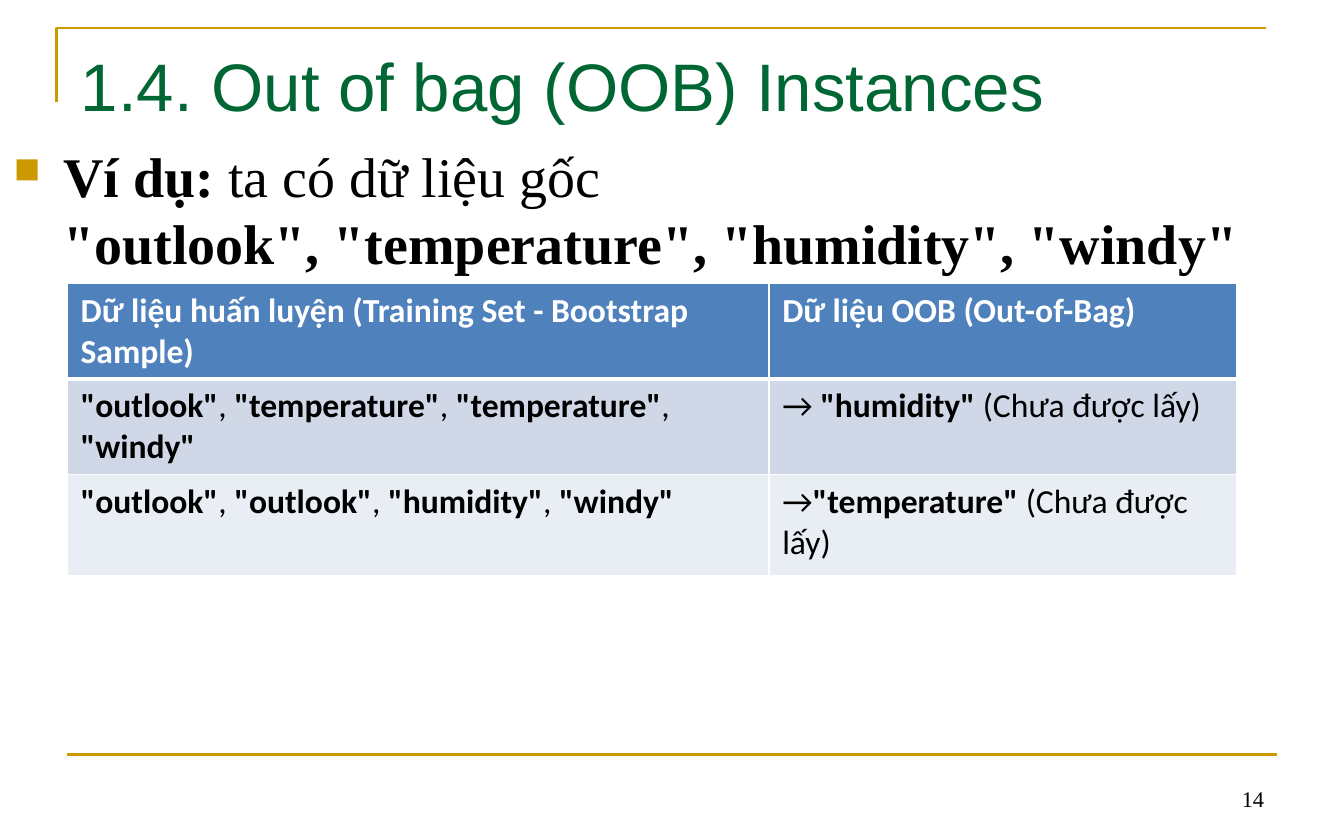
from lxml import etree
from pptx import Presentation
from pptx import util as u
from pptx.dml.color import RGBColor
from pptx.enum import shapes, text
from pptx.oxml import ns

COLORS = {
    "gold": "CC9900", "green": "006633", "black": "000000", "white": "FFFFFF",
    "header": "4F81BD", "band_dark": "D0D8E8", "band_light": "E9EDF4",
}
TABLE_ROWS = [
    ("**Dữ liệu huấn luyện (Training Set - Bootstrap Sample)**",
     "**Dữ liệu OOB (Out-of-Bag)**"),
    ('**"outlook"**, **"temperature"**, **"temperature"**, **"windy"**',
     '→ **"humidity"** (Chưa được lấy)'),
    ('**"outlook"**, **"outlook"**, **"humidity"**, **"windy"**',
     '→**"temperature"** (Chưa được lấy)'),
]


def rgb(name):
    """Return the named palette colour."""
    return RGBColor.from_string(COLORS[name])


def write(frame, content, size, font, color="black", spacing=None):
    """Write one paragraph, with **bold** parts and line breaks."""
    frame.word_wrap = True
    paragraph = frame.paragraphs[0]
    paragraph.alignment = text.PP_ALIGN.LEFT
    if spacing:
        paragraph.line_spacing = u.Pt(spacing)
    for index, part in enumerate(content.split("**")):
        for line_number, line in enumerate(part.split("\n")):
            if line_number:
                paragraph.add_line_break()
            if line:
                run = paragraph.add_run()
                run.text = line
                run.font.size = u.Pt(size)
                run.font.name = font
                run.font.bold = index % 2 == 1
                run.font.color.rgb = rgb(color)
    return paragraph


def set_margins(frame, left=0, top=0):
    """Set the left and top insets and clear the others."""
    frame.margin_left, frame.margin_top = u.Cm(left), u.Cm(top)
    frame.margin_right = frame.margin_bottom = 0
    frame.vertical_anchor = text.MSO_ANCHOR.TOP


def add_corner_frame(slide, left, top, width, height):
    """Draw the open corner above and beside the title."""
    builder = slide.shapes.build_freeform(u.Cm(left), u.Cm(top + height))
    builder.add_line_segments(
        [(u.Cm(left), u.Cm(top)), (u.Cm(left + width), u.Cm(top))], close=False)
    corner = builder.convert_to_shape()
    corner.shadow.inherit = False
    corner.fill.background()
    corner.line.color.rgb = rgb("gold")
    corner.line.width = u.Pt(1.5)


def add_title(slide, left, top, width, height):
    """Place and format the title placeholder."""
    title = slide.shapes.title
    title.left, title.top = u.Cm(left), u.Cm(top)
    title.width, title.height = u.Cm(width), u.Cm(height)
    set_margins(title.text_frame, left=0.03, top=0.03)
    write(title.text_frame, "1.4. Out of bag (OOB) Instances", 36, "Arial", "green")


def add_example(slide, left, top, width, height):
    """Add the bulleted example statement."""
    example = slide.shapes.add_textbox(
        u.Cm(left), u.Cm(top), u.Cm(width), u.Cm(height))
    set_margins(example.text_frame, top=0.28)
    paragraph = write(
        example.text_frame,
        '**Ví dụ: **ta có dữ liệu gốc\n'
        '**"outlook", "temperature", "humidity", "windy"**',
        30, "Times New Roman")
    properties = paragraph._p.get_or_add_pPr()
    properties.set("marL", str(u.Cm(1)))
    properties.set("indent", str(-u.Cm(0.94)))
    bullet_color = etree.SubElement(properties, ns.qn("a:buClr"))
    etree.SubElement(bullet_color, ns.qn("a:srgbClr"), val=COLORS["gold"])
    etree.SubElement(properties, ns.qn("a:buSzPct"), val="65000")
    etree.SubElement(properties, ns.qn("a:buChar"), char="■")


def set_borders(cell, **widths):
    """Give a cell white borders, 1 pt wide unless a side says otherwise."""
    properties = cell._tc.get_or_add_tcPr()
    for side in "LRTB":
        border = etree.SubElement(
            properties, ns.qn(f"a:ln{side}"), w=str(u.Pt(widths.get(side, 1))))
        fill = etree.SubElement(border, ns.qn("a:solidFill"))
        etree.SubElement(fill, ns.qn("a:srgbClr"), val=COLORS["white"])


def add_samples_table(slide, left, top, width, height):
    """Add the table of bootstrap samples and their OOB data."""
    table = slide.shapes.add_table(
        len(TABLE_ROWS), 2, u.Cm(left), u.Cm(top), u.Cm(width), u.Cm(height)).table
    for column, share in zip(table.columns, (0.6, 0.4)):
        column.width = u.Cm(width * share)
    for row, share in zip(table.rows, (0.325, 0.325, 0.35)):
        row.height = u.Cm(height * share)
    fills = ("header", "band_dark", "band_light")
    borders = ({"B": 3}, {"T": 3}, {})
    for row_index, entries in enumerate(TABLE_ROWS):
        for column_index, entry in enumerate(entries):
            cell = table.cell(row_index, column_index)
            set_borders(cell, **borders[row_index])
            cell.fill.solid()
            cell.fill.fore_color.rgb = rgb(fills[row_index])
            write(cell.text_frame, entry, 18, "Calibri",
                  "black" if row_index else "white")


def add_footer(slide, left, top, width, height):
    """Add the footer rule and the slide number below its right end."""
    rule = slide.shapes.add_connector(
        shapes.MSO_CONNECTOR.STRAIGHT,
        u.Cm(left), u.Cm(top), u.Cm(left + width), u.Cm(top))
    rule.line.color.rgb = rgb("gold")
    rule.line.width = u.Pt(1.5)
    etree.SubElement(rule._element.spPr, ns.qn("a:effectLst"))
    number = slide.shapes.add_textbox(
        u.Cm(left + width - 0.76), u.Cm(top + height - 0.56), u.Cm(0.64), u.Cm(0.56))
    set_margins(number.text_frame, left=0.1)
    write(number.text_frame, "14", 12, "Times New Roman", spacing=13.8)


def main():
    """Build and save the slide."""
    deck = Presentation()
    deck.slide_width, deck.slide_height = u.Cm(25.4), u.Cm(15.88)
    slide = deck.slides.add_slide(deck.slide_layouts[5])
    add_corner_frame(slide, 1.07, 0.53, 22.86, 1.4)
    add_title(slide, 1.5, 0.81, 23.9, 1.57)
    add_samples_table(slide, 1.27, 5.36, 22.1, 5.46)
    add_example(slide, 0.2, 2.39, 25.32, 2.84)
    add_footer(slide, 1.27, 14.27, 22.86, 1.15)
    deck.save("out.pptx")


if __name__ == "__main__":
    main()
